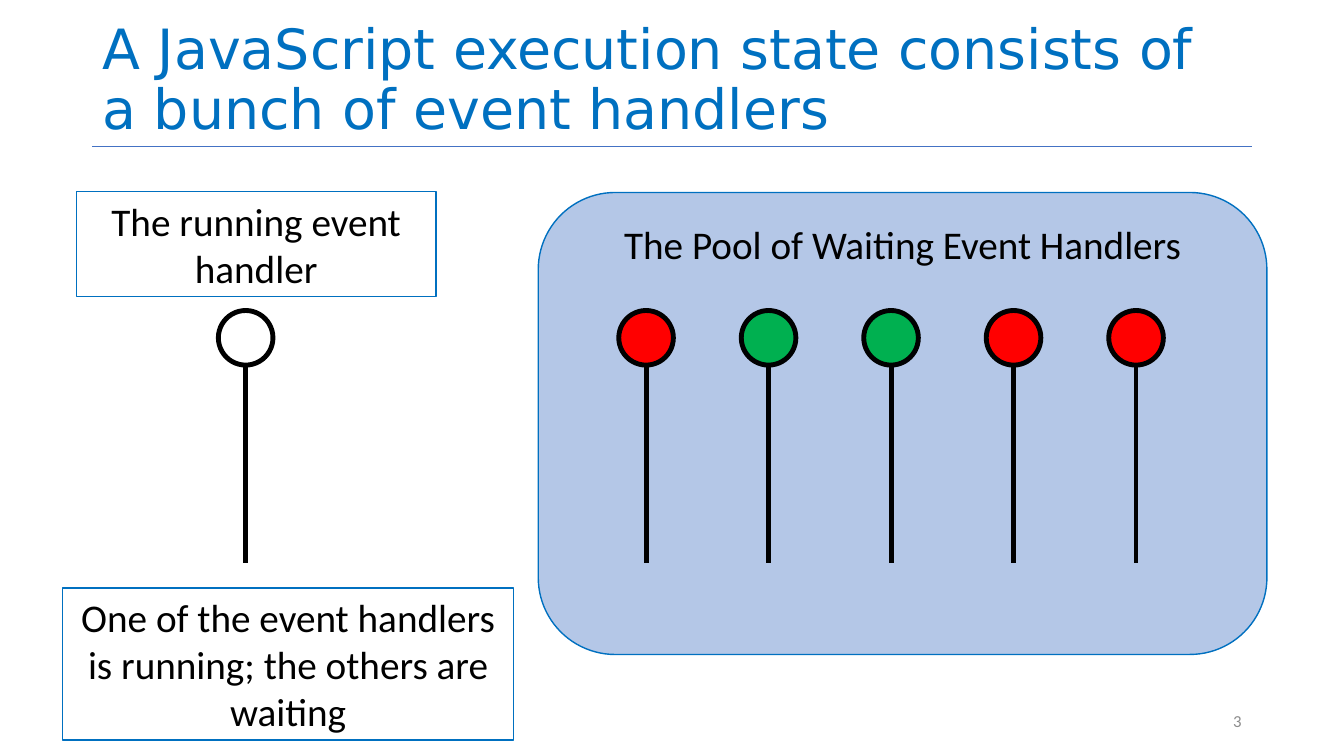
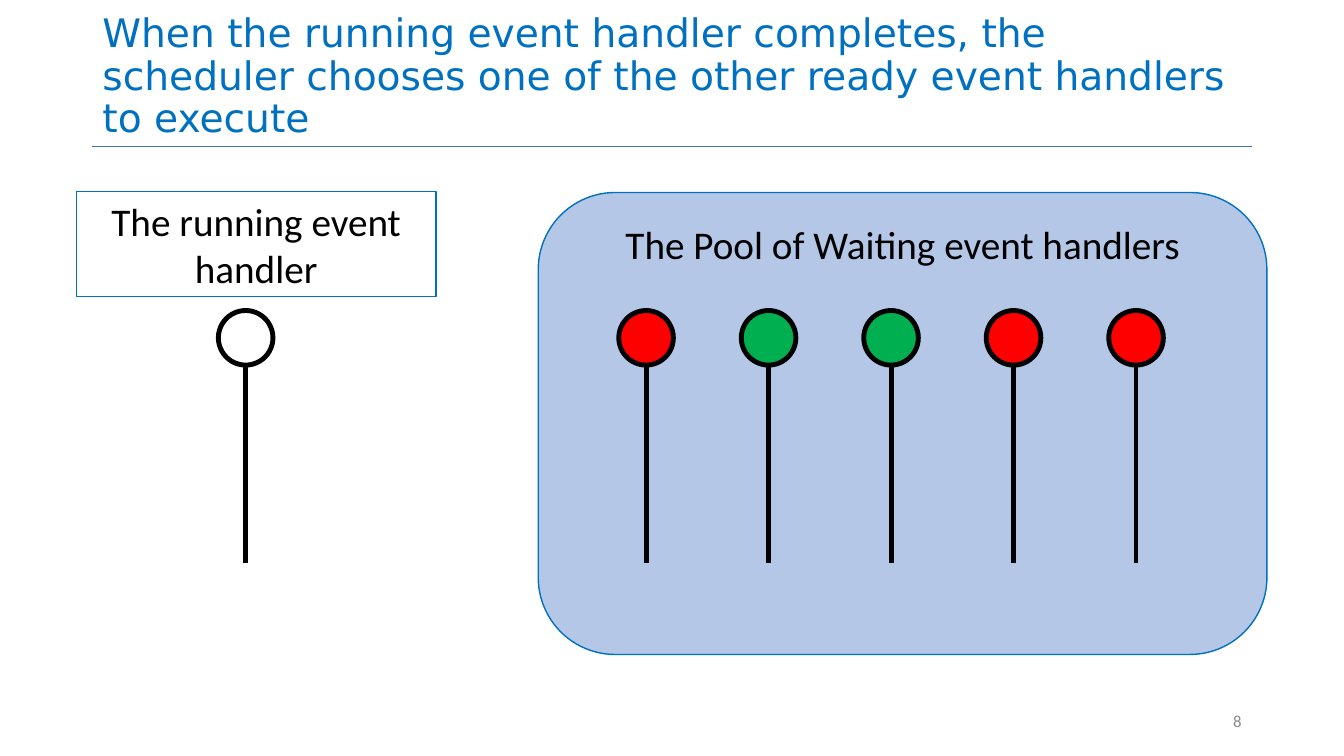
from dataclasses import dataclass

import pptx
import pptx.dml.color
import pptx.enum.shapes
import pptx.enum.text
import pptx.oxml
import pptx.oxml.ns
import pptx.util

Pt = pptx.util.Pt
SHAPE = pptx.enum.shapes.MSO_SHAPE
ALIGN = pptx.enum.text.PP_ALIGN
ANCHOR = pptx.enum.text.MSO_ANCHOR
FIT = pptx.enum.text.MSO_AUTO_SIZE


@dataclass(frozen=True)
class Theme:
    blue: str = "0070C0"
    divider: str = "4472C4"
    pool: str = "B4C7E7"
    black: str = "000000"
    grey: str = "8C8C8C"
    ready: str = "00B050"
    blocked: str = "FF0000"
    title_font: str = "DejaVu Sans"
    body_font: str = "Calibri"
    title_size: float = 39.6
    long_title_size: float = 28
    body_size: float = 28
    number_size: float = 12
    divider_width: float = 0.5
    outline_width: float = 1
    handler_width: float = 3.5


THEME = Theme()

HEAD_TOP = 221.8
HEAD_DIAMETER = 39
STEM_BOTTOM = 402
RUNNING_CENTER = 175.5
POOL_FIRST_CENTER = 461.5
POOL_STEP = 87.5
POOL_COLORS = (THEME.blocked, THEME.ready, THEME.ready, THEME.blocked, THEME.blocked)


def rgb(color):
    return pptx.dml.color.RGBColor.from_string(color)


def set_line(line, color, width):
    line.color.rgb = rgb(color)
    line.width = Pt(width)


def write(shape, text, size, color=THEME.black, font=THEME.body_font,
          align=ALIGN.CENTER, anchor=ANCHOR.MIDDLE, fit=FIT.NONE):
    frame = shape.text_frame
    frame.text = text
    frame.word_wrap = True
    frame.auto_size = fit
    frame.vertical_anchor = anchor
    paragraph = frame.paragraphs[0]
    paragraph.alignment = align
    run_font = paragraph.runs[0].font
    run_font.name = font
    run_font.size = Pt(size)
    run_font.color.rgb = rgb(color)


def add_outlined(shapes, kind, bounds, line_color, line_width, fill=None):
    shape = shapes.add_shape(kind, *map(Pt, bounds))
    shape.shadow.inherit = False
    if fill:
        shape.fill.solid()
        shape.fill.fore_color.rgb = rgb(fill)
    else:
        shape.fill.background()
    set_line(shape.line, line_color, line_width)
    return shape


def add_line(shapes, start, end, color, width):
    line = shapes.add_connector(pptx.enum.shapes.MSO_CONNECTOR.STRAIGHT,
                                *map(Pt, (*start, *end)))
    set_line(line.line, color, width)
    line.element.spPr.append(
        pptx.oxml.parse_xml(f"<a:effectLst {pptx.oxml.ns.nsdecls('a')}/>"))


def add_title(slide, text, size):
    title = slide.shapes.title
    title.left, title.top, title.width, title.height = map(Pt, (66, 0, 828, 104.4))
    write(title, text, size, THEME.blue, THEME.title_font, ALIGN.LEFT, ANCHOR.BOTTOM)
    title.text_frame.paragraphs[0].line_spacing = 0.9
    add_line(slide.shapes, (66, 104.4), (894, 104.4), THEME.divider, THEME.divider_width)


def add_number(slide, number):
    box = slide.shapes.add_textbox(*map(Pt, (678, 500.5, 216, 28.75)))
    write(box, str(number), THEME.number_size, THEME.grey, align=ALIGN.RIGHT)


def add_label(slide, text, bounds):
    label = add_outlined(slide.shapes, SHAPE.RECTANGLE, bounds,
                         THEME.blue, THEME.outline_width)
    write(label, text, THEME.body_size, fit=FIT.SHAPE_TO_FIT_TEXT)


def add_handler(slide, center, fill=None):
    """Group a round head and the stem below it."""
    shapes = slide.shapes.add_group_shape().shapes
    head = (center - HEAD_DIAMETER / 2, HEAD_TOP, HEAD_DIAMETER, HEAD_DIAMETER)
    add_outlined(shapes, SHAPE.OVAL, head, THEME.black, THEME.handler_width, fill)
    add_line(shapes, (center, HEAD_TOP + HEAD_DIAMETER), (center, STEM_BOTTOM),
             THEME.black, THEME.handler_width)


def add_pool(slide, caption):
    pool = add_outlined(slide.shapes, SHAPE.ROUNDED_RECTANGLE, (384.5, 137.5, 520.5, 330),
                        THEME.blue, THEME.outline_width, THEME.pool)
    write(pool, caption, THEME.body_size, anchor=ANCHOR.TOP)
    for index, color in enumerate(POOL_COLORS):
        add_handler(slide, POOL_FIRST_CENTER + index * POOL_STEP, color)


def add_state_slide(presentation, title, title_size, pool_caption, number):
    """Add a slide with the running handler beside the waiting ones."""
    slide = presentation.slides.add_slide(
        presentation.slide_layouts.get_by_name("Title Only"))
    add_title(slide, title, title_size)
    add_pool(slide, pool_caption)
    add_label(slide, "The running event handler", (54.5, 137, 257, 75))
    add_handler(slide, RUNNING_CENTER)
    add_number(slide, number)
    return slide


def main():
    presentation = pptx.Presentation()
    presentation.slide_width = Pt(960)
    presentation.slide_height = Pt(540)

    slide = add_state_slide(
        presentation,
        "A JavaScript execution state consists of a bunch of event handlers",
        THEME.title_size, "The Pool of Waiting Event Handlers", 3)
    add_label(slide, "One of the event handlers is running; the others are waiting",
              (44.5, 420, 322.5, 108.7))

    add_state_slide(
        presentation,
        "When the running event handler completes, the scheduler chooses "
        "one of the other ready event handlers to execute",
        THEME.long_title_size, "The Pool of Waiting event handlers", 8)

    presentation.save("out.pptx")


if __name__ == "__main__":
    main()
